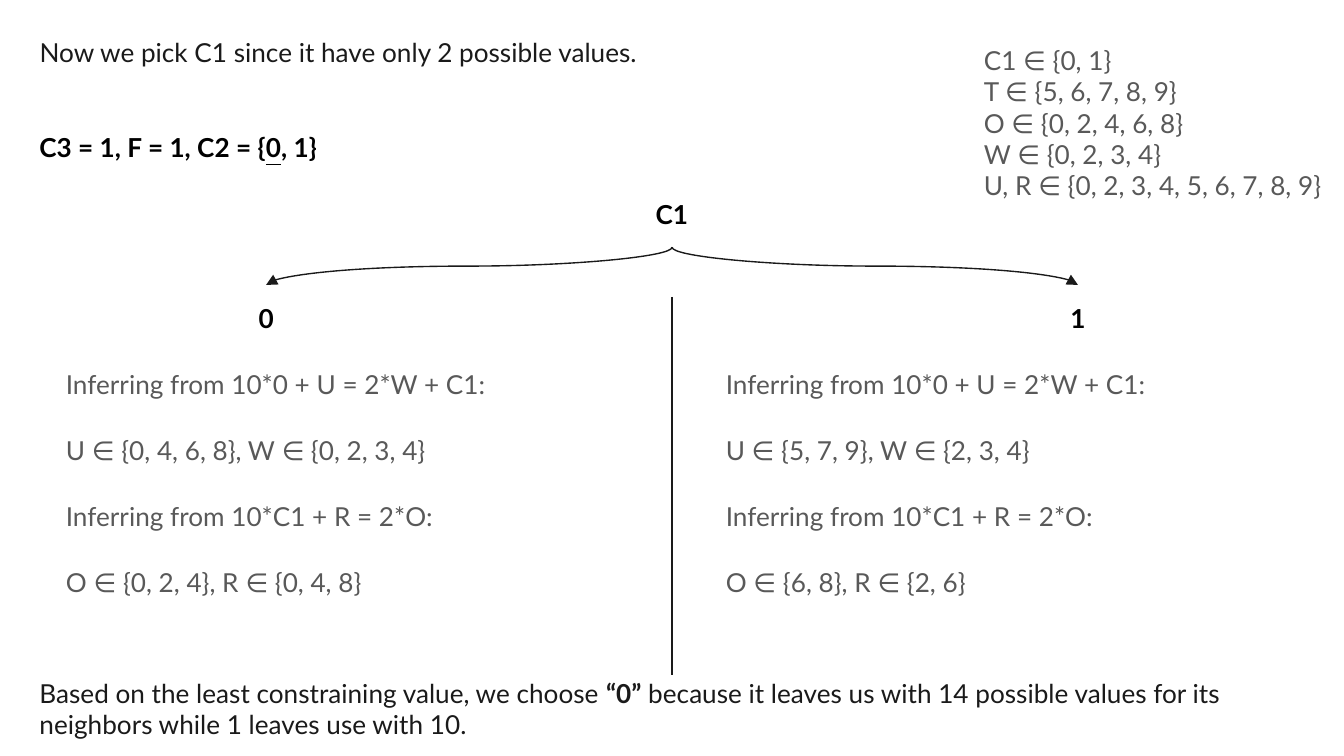
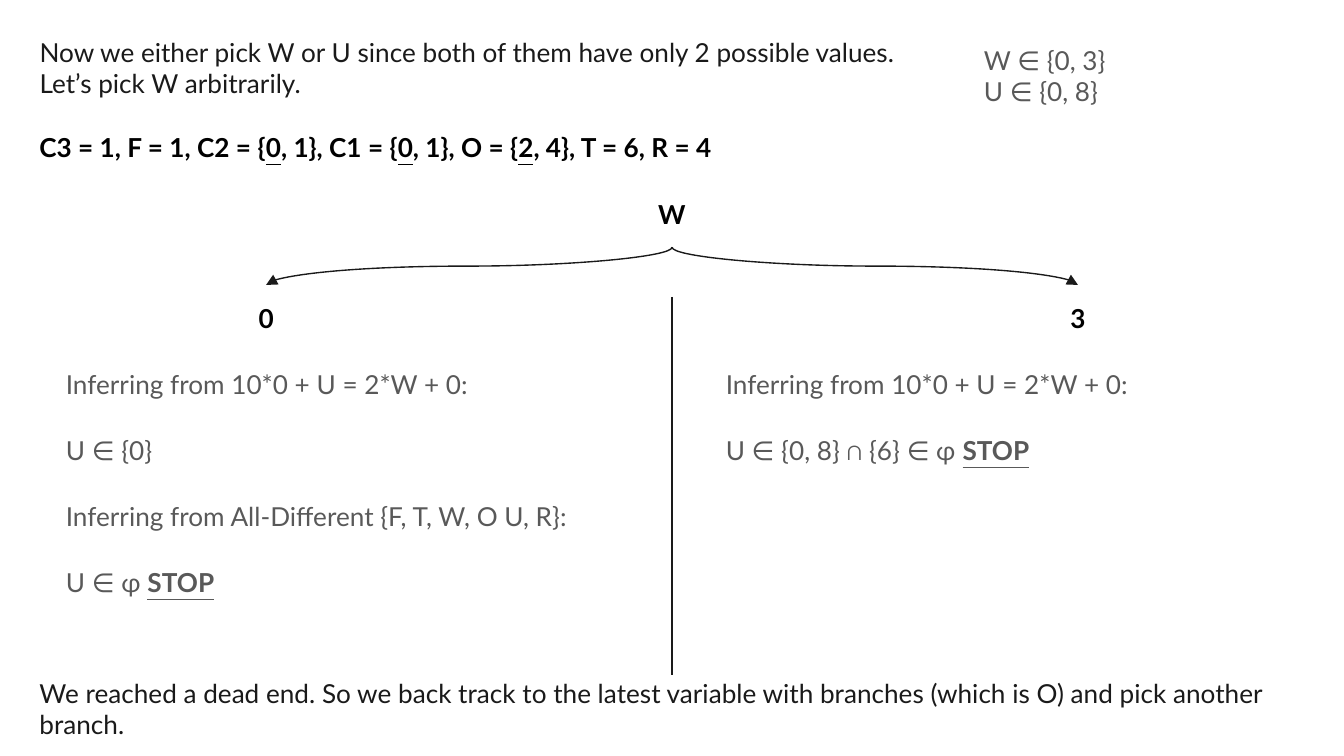
from lxml.etree import SubElement
from pptx import Presentation
from pptx.dml.color import RGBColor
from pptx.enum.shapes import MSO_CONNECTOR
from pptx.enum.text import MSO_ANCHOR, MSO_AUTO_SIZE, PP_ALIGN
from pptx.oxml.ns import qn
from pptx.util import Inches, Pt

COLORS = {"ink": "1A1A1A", "strong": "000000", "muted": "595959"}
CENTER, SPAN = 5, 3.02          # trunk of the tree and reach of each branch
FORK_TOP, FORK_DROP = 1.84, 0.28
WIDE, NODE = 9.61, 0.61         # widths of full lines and of tree nodes
MARGIN = CENTER - WIDE / 2
MARK = "|"                      # toggles emphasis inside a line of text

STEPS = [
    {
        "intro": ["Now we pick C1 since it have only 2 possible values."],
        "assigned": "C3 = 1, F = 1, C2 = {|0|, 1}",
        "assigned_width": 2.68,
        "domains": ["C1 ∈ {0, 1}", "T ∈ {5, 6, 7, 8, 9}", "O ∈ {0, 2, 4, 6, 8}",
                    "W ∈ {0, 2, 3, 4}", "U, R ∈ {0, 2, 3, 4, 5, 6, 7, 8, 9}"],
        "variable": "C1",
        "values": ["0", "1"],
        "inferences": [
            ["Inferring from 10*0 + U = 2*W + C1:", "U ∈ {0, 4, 6, 8}, W ∈ {0, 2, 3, 4}",
             "Inferring from 10*C1 + R = 2*O:", "O ∈ {0, 2, 4}, R ∈ {0, 4, 8}"],
            ["Inferring from 10*0 + U = 2*W + C1:", "U ∈ {5, 7, 9}, W ∈ {2, 3, 4}",
             "Inferring from 10*C1 + R = 2*O:", "O ∈ {6, 8}, R ∈ {2, 6}"],
        ],
        "conclusion": "Based on the least constraining value, we choose |“0”| because it "
                      "leaves us with 14 possible values for its neighbors while 1 leaves "
                      "use with 10.",
    },
    {
        "intro": ["Now we either pick W or U since both of them have only 2 possible values.",
                  "Let’s pick W arbitrarily."],
        "assigned": "C3 = 1, F = 1, C2 = {|0|, 1}, C1 = {|0|, 1}, O = {|2|, 4}, T = 6, R = 4",
        "assigned_width": 5.73,
        "domains": ["W ∈ {0, 3}", "U ∈ {0, 8}"],
        "variable": "W",
        "values": ["0", "3"],
        "inferences": [
            ["Inferring from 10*0 + U = 2*W + 0:", "U ∈ {0}",
             "Inferring from All-Different {F, T, W, O U, R}:", "U ∈ ɸ |STOP|"],
            ["Inferring from 10*0 + U = 2*W + 0:", "U ∈ {0, 8} ∩ {6} ∈ ɸ |STOP|"],
        ],
        "conclusion": "We reached a dead end. So we back track to the latest variable with "
                      "branches (which is O) and pick another branch.",
    },
]


class Deck:
    """Holds the shared style and the slide being built."""

    font_name, font_size = "Lato", Pt(14)

    def __init__(self):
        self.presentation = Presentation()
        self.presentation.slide_width = Inches(10)
        self.presentation.slide_height = Inches(10) * 9 // 16
        self.slide = None

    def new_slide(self):
        layout = self.presentation.slide_layouts.get_by_name("Comparison")
        self.slide = self.presentation.slides.add_slide(layout)

    def text(self, lines, left, top, width, height, **style):
        box = self.slide.shapes.add_textbox(
            Inches(left), Inches(top), Inches(width), Inches(height))
        self._write(box, lines, **style)

    def placeholder(self, idx, lines, left, top, width, height, **style):
        holder = self.slide.placeholders[idx]
        holder.left, holder.top = Inches(left), Inches(top)
        holder.width, holder.height = Inches(width), Inches(height)
        self._write(holder, lines, **style)

    def drop_empty(self):
        for holder in list(self.slide.placeholders):
            if not holder.text_frame.text:
                holder._element.getparent().remove(holder._element)

    def _write(self, shape, lines, color="ink", bold=False, align=PP_ALIGN.LEFT,
               anchor=MSO_ANCHOR.TOP, spacing=1.0, gap=0, end_gap=0, emphasis=("bold",)):
        frame = shape.text_frame
        frame.word_wrap = True
        frame.auto_size = MSO_AUTO_SIZE.NONE
        frame.vertical_anchor = anchor
        frame.margin_left = frame.margin_right = Inches(0.1)
        frame.margin_top = frame.margin_bottom = Inches(0.1)
        for number, line in enumerate(lines):
            paragraph = frame.add_paragraph() if number else frame.paragraphs[0]
            properties = paragraph._p.get_or_add_pPr()
            properties.set("marL", "0")
            properties.set("indent", "0")
            SubElement(properties, qn("a:buNone"))
            paragraph.alignment = align
            paragraph.line_spacing = spacing
            paragraph.space_before = Pt(gap if number else 0)
            paragraph.space_after = Pt(end_gap if number == len(lines) - 1 else 0)
            font = paragraph.font
            font.name, font.size, font.bold = self.font_name, self.font_size, bold
            font.color.rgb = RGBColor.from_string(COLORS[color])
            for position, part in enumerate(line.split(MARK)):
                if not part:
                    continue
                run = paragraph.add_run()
                run.text = part
                if position % 2:
                    for trait in emphasis:
                        setattr(run.font, trait, True)

    def line(self, x1, y1, x2, y2, kind=MSO_CONNECTOR.STRAIGHT):
        connector = self.slide.shapes.add_connector(
            kind, Inches(x1), Inches(y1), Inches(x2), Inches(y2))
        connector.line.color.rgb = RGBColor.from_string(COLORS["ink"])
        connector.line.width = Pt(0.75)
        SubElement(connector._element.spPr, qn("a:effectLst"))
        return connector

    def branch(self, side):
        """Curved arrow from the trunk; side is -1 for left, 1 for right."""
        middle_x = CENTER + side * SPAN / 2
        middle_y = FORK_TOP + FORK_DROP / 2
        half = side * FORK_DROP / 2
        # Laid out upright, then turned a quarter so that it leaves downwards
        arrow = self.line(middle_x + half, middle_y - SPAN / 2,
                          middle_x - half, middle_y + SPAN / 2, MSO_CONNECTOR.CURVE)
        properties = arrow._element.spPr
        properties.find(qn("a:xfrm")).set("rot", str((180 + side * 90) * 60000))
        SubElement(properties.find(qn("a:ln")), qn("a:tailEnd"), type="triangle")


def build_step(deck, step):
    deck.new_slide()

    # Opening sentence, assignments so far and remaining domains
    deck.placeholder(0, step["intro"], MARGIN, 0.17, WIDE, 0.86)
    deck.text([step["assigned"]], MARGIN, 0.85, step["assigned_width"], 0.49,
              color="strong", bold=True, anchor=MSO_ANCHOR.MIDDLE, emphasis=("underline",))
    deck.placeholder(2, step["domains"], 7.22, 0.23, 2.72, 1.38, color="muted")

    # Tree: chosen variable, its two values, arrows and divider
    nodes = [(step["variable"], CENTER, 1.35)]
    nodes += [(value, CENTER + side * SPAN, 2.12)
              for value, side in zip(step["values"], (-1, 1))]
    for label, center, top in nodes:
        deck.text([label], center - NODE / 2, top, NODE, 0.49, color="strong", bold=True,
                  align=PP_ALIGN.CENTER, anchor=MSO_ANCHOR.MIDDLE)
    for side in (-1, 1):
        deck.branch(side)
    deck.line(CENTER, 2.21, CENTER, 5.02)

    # Inferences under each value
    columns = zip((1, 3), (0.39, 5.3), (16, 0), step["inferences"])
    for idx, left, end_gap, inference in columns:
        deck.placeholder(idx, inference, left, 2.61, 4.31, 2.33, color="muted",
                         spacing=1.15, gap=16, end_gap=end_gap,
                         emphasis=("bold", "underline"))

    # Conclusion
    deck.text([step["conclusion"]], MARGIN, 4.94, WIDE, 0.69)
    deck.drop_empty()


def main():
    deck = Deck()
    for step in STEPS:
        build_step(deck, step)
    deck.presentation.save("out.pptx")


if __name__ == "__main__":
    main()
